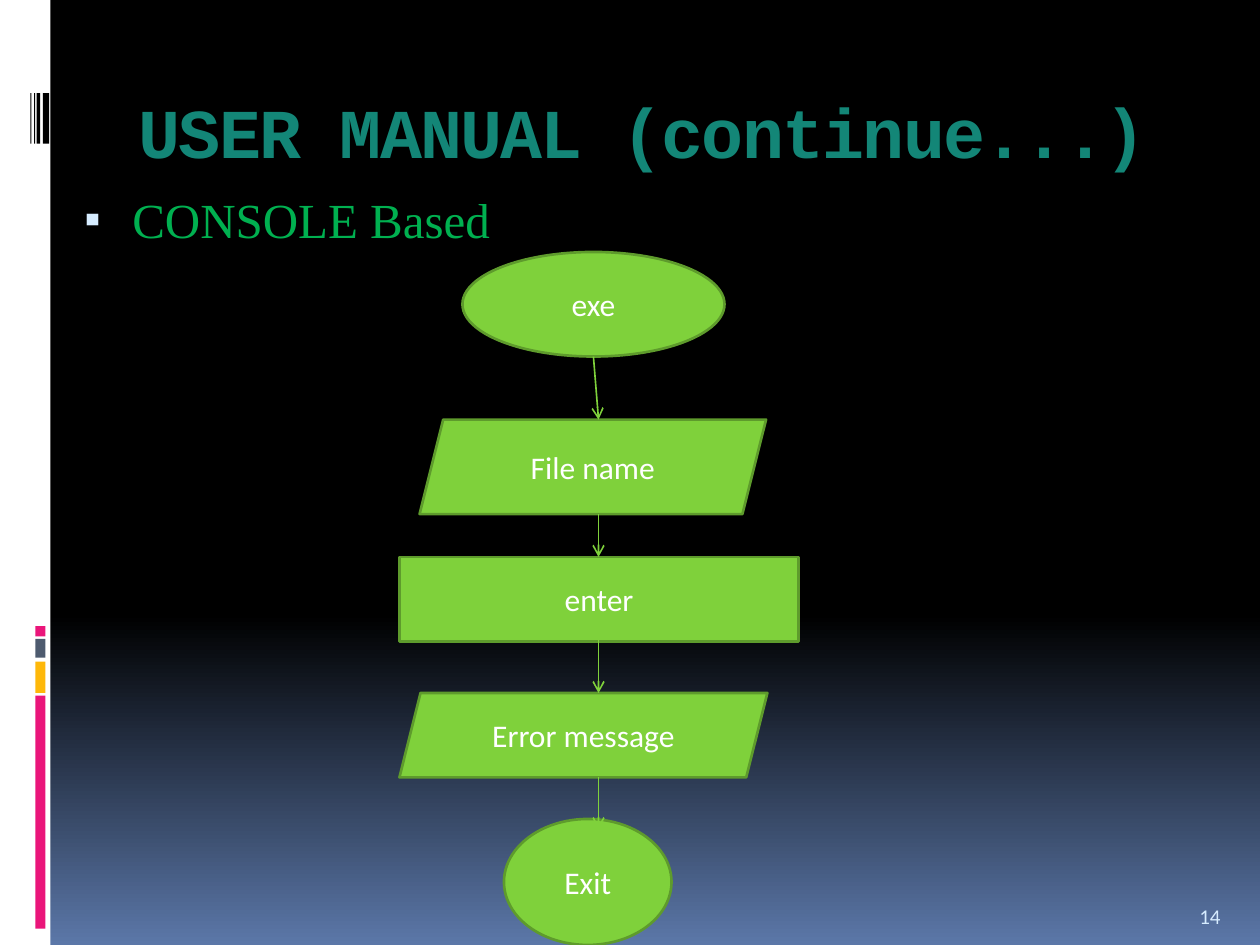
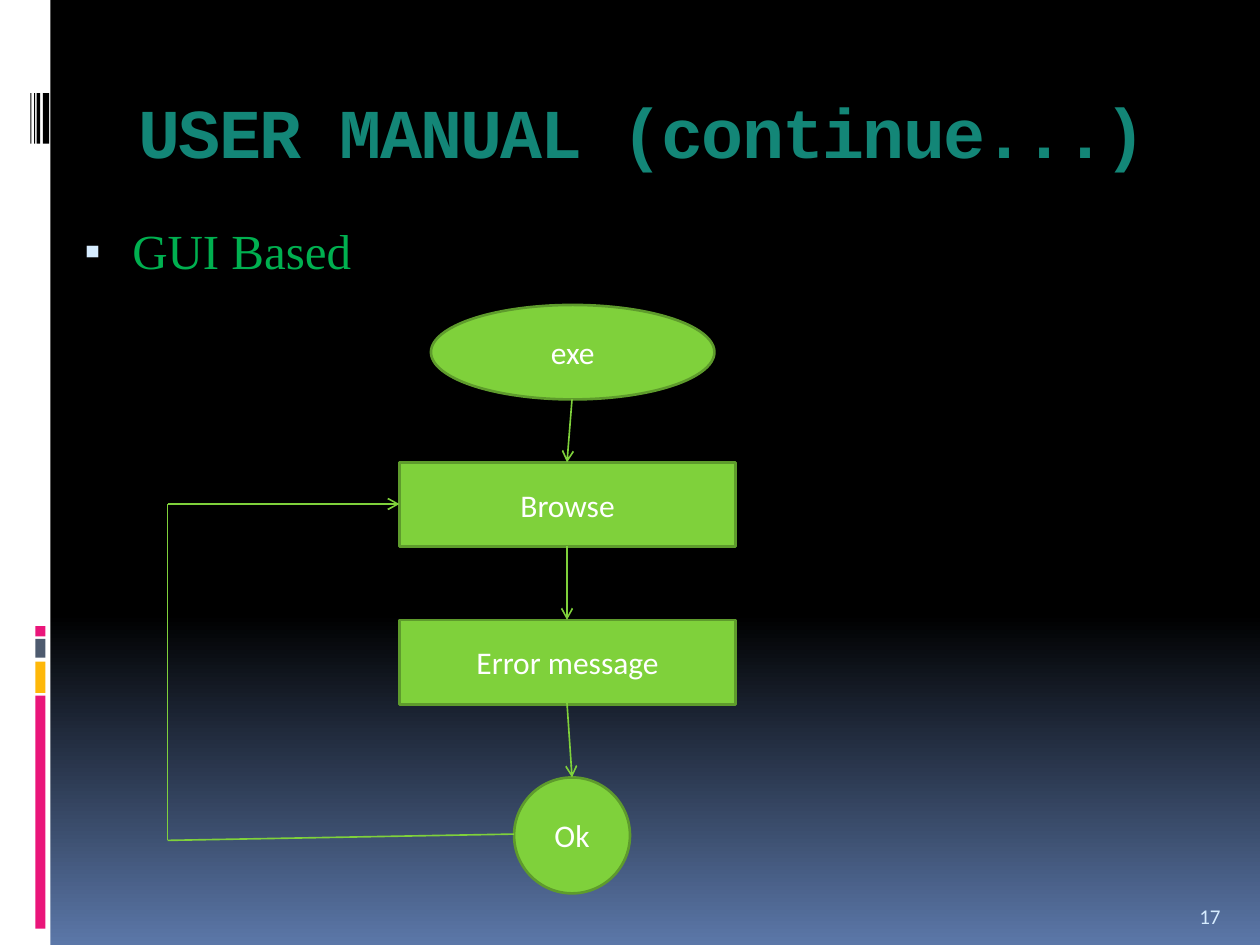
import copy

import pptx
import pptx.dml.color
import pptx.enum.shapes
import pptx.enum.text
import pptx.oxml.ns
import pptx.util
from lxml import etree

Inches = pptx.util.Inches
Pt = pptx.util.Pt
qn = pptx.oxml.ns.qn
Shape = pptx.enum.shapes.MSO_SHAPE
Anchor = pptx.enum.text.MSO_ANCHOR
Align = pptx.enum.text.PP_ALIGN

COLOURS = {
    "black": "000000",
    "dusk": "5B77A8",
    "white": "FFFFFF",
    "pink": "EA157A",
    "amber": "FEB80A",
    "slate": "4E5B6F",
    "teal": "138677",
    "heading": "00B050",
    "pale": "D6ECFF",
    "green": "7FD13B",
    "outline": "5E9B2C",
}


def colour(name):
    """Return the named colour of the deck."""
    return pptx.dml.color.RGBColor.from_string(COLOURS[name])


def style_font(font, name, size, tint, bold=False):
    """Give a font its face, size, colour and weight."""
    font.name = name
    font.size = Pt(size)
    font.bold = bold
    font.color.rgb = colour(tint)


def place(item, left, top, width, height):
    """Put a placeholder at a box given in inches."""
    item.left, item.top = Inches(left), Inches(top)
    item.width, item.height = Inches(width), Inches(height)


def add_filled(page, kind, box, fill):
    """Add a preset shape with a flat fill and no outline or shadow."""
    shape = page.shapes.add_shape(kind, *[Inches(length) for length in box])
    shape.shadow.inherit = False
    shape.fill.solid()
    shape.fill.fore_color.rgb = colour(fill)
    shape.line.fill.background()
    return shape


def set_background(layout):
    """Fade the layout from black to blue in its lower third."""
    fill = layout.background.fill
    fill.gradient()
    fill.gradient_angle = 270
    first, last = fill.gradient_stops
    first.color.rgb = colour("black")
    last.color.rgb = colour("dusk")
    stops = next(layout.element.iter(qn("a:gsLst")))
    middle = copy.deepcopy(stops[0])
    middle.set("pos", "65000")
    stops.insert(1, middle)


def add_side_band(page, layout, height):
    """Build the left band with its bars and keep it on the layout."""
    parts = [((0, 0, 0.4, height), "white")]
    bars = [(5.52, 1.85, "pink"), (5.25, 0.25, "amber"),
            (5.07, 0.15, "slate"), (4.97, 0.08, "pink")]
    parts += [((0.28, top, 0.08, tall), tint) for top, tall, tint in bars]
    stripes = [(0.34, 0.05), (0.29, 0.03), (0.27, 0.01), (0.24, 0.01)]
    parts += [((left, 0.74, wide, 0.4), "black") for left, wide in stripes]
    for position, (box, tint) in enumerate(parts, start=2):
        shape = add_filled(page, Shape.RECTANGLE, box, tint)
        layout.shapes.element.insert(position, shape.element)


def add_title(page, text):
    """Fill and format the title placeholder."""
    title = page.shapes.title
    place(title, 1, 0.56, 8.5, 1)
    frame = title.text_frame
    frame.text = text
    frame.auto_size = pptx.enum.text.MSO_AUTO_SIZE.NONE
    frame.vertical_anchor = Anchor.MIDDLE
    frame.margin_bottom = Inches(0.1)
    para = frame.paragraphs[0]
    para.alignment = Align.LEFT
    style_font(para.font, "Courier New", 40, "teal", bold=True)
    para.runs[0].font._element.set("spc", "-100")


def add_heading(page, text, box):
    """Fill the body placeholder with one bulleted heading."""
    body = page.placeholders[1]
    place(body, *box)
    frame = body.text_frame
    frame.text = text
    frame.auto_size = pptx.enum.text.MSO_AUTO_SIZE.NONE
    frame.vertical_anchor = Anchor.TOP
    frame.margin_top = 0
    para = frame.paragraphs[0]
    para.space_before = Pt(7)
    style_font(para.font, "Times New Roman", 28, "heading")
    properties = para._p.get_or_add_pPr()
    properties.set("marL", str(Inches(0.45)))
    properties.set("indent", str(Inches(-0.38)))
    bullet = etree.Element(qn("a:buClr"))
    etree.SubElement(bullet, qn("a:srgbClr"), val=COLOURS["pale"])
    size = etree.Element(qn("a:buSzPct"), val="95000")
    mark = etree.Element(qn("a:buChar"), char="▪")
    spacing = properties.find(qn("a:spcBef"))
    for element in (mark, size, bullet):
        spacing.addnext(element)


def add_page_number(page, number):
    """Write the page number in the lower right corner."""
    box = page.shapes.add_textbox(Inches(9.42), Inches(7.02), Inches(0.5), Inches(0.4))
    frame = box.text_frame
    frame.word_wrap = True
    frame.vertical_anchor = Anchor.BOTTOM
    frame.text = str(number)
    style_font(frame.paragraphs[0].font, "Calibri", 12, "pale")


def add_step(page, kind, text, box):
    """Add one labelled step of a flow chart."""
    step = add_filled(page, kind, box, "green")
    step.line.color.rgb = colour("outline")
    step.line.width = Pt(1.5)
    frame = step.text_frame
    frame.word_wrap = True
    frame.vertical_anchor = Anchor.MIDDLE
    frame.text = text
    para = frame.paragraphs[0]
    para.alignment = Align.CENTER
    style_font(para.font, "Calibri", 18, "white")


def add_link(page, start, end, arrow=True):
    """Join two points with a thin line, with an arrowhead if wanted."""
    ends = [Inches(length) for length in (*start, *end)]
    link = page.shapes.add_connector(pptx.enum.shapes.MSO_CONNECTOR.STRAIGHT, *ends)
    link.line.color.rgb = colour("green")
    link.line.width = Pt(0.94)
    properties = link.element.spPr
    if arrow:
        etree.SubElement(properties.find(qn("a:ln")), qn("a:tailEnd"), type="arrow")
    etree.SubElement(properties, qn("a:effectLst"))


def add_flow(page, origin, steps, links):
    """Draw steps and arrows measured from the chart's top left corner."""
    left, top = origin
    for kind, text, (x, y, width, height) in steps:
        add_step(page, kind, text, (left + x, top + y, width, height))
    for (x1, y1), (x2, y2) in links:
        add_link(page, (left + x1, top + y1), (left + x2, top + y2))


def add_return_loop(page, points):
    """Lead a line through the points, with an arrowhead on the last part."""
    for index, (start, end) in enumerate(zip(points, points[1:])):
        add_link(page, start, end, arrow=index == len(points) - 2)


def add_manual_page(deck, layout, heading, heading_box, number):
    """Add a page with the shared title, its heading and its number."""
    page = deck.slides.add_slide(layout)
    add_title(page, "USER MANUAL (continue...)")
    add_heading(page, heading, heading_box)
    add_page_number(page, number)
    return page


def add_console_flow(page, origin):
    """Draw the console flow from start to exit."""
    steps = [
        (Shape.OVAL, "exe", (0.5, 0, 2.08, 0.83)),
        (Shape.PARALLELOGRAM, "File name", (0.16, 1.33, 2.75, 0.75)),
        (Shape.RECTANGLE, "enter", (0, 2.42, 3.17, 0.67)),
        (Shape.PARALLELOGRAM, "Error message", (0, 3.5, 2.92, 0.67)),
        (Shape.FLOWCHART_CONNECTOR, "Exit", (0.83, 4.5, 1.33, 1)),
    ]
    axis = 1.58
    links = [((1.54, 0.83), (axis, 1.33))]
    links += [((axis, start), (axis, end))
              for start, end in [(2.08, 2.42), (3.08, 3.5), (4.17, 4.58)]]
    add_flow(page, origin, steps, links)


def add_window_flow(page, origin):
    """Draw the window flow and its way back to browsing."""
    steps = [
        (Shape.OVAL, "exe", (0.25, 0, 2.25, 0.75)),
        (Shape.RECTANGLE, "Browse", (0, 1.25, 2.67, 0.67)),
        (Shape.RECTANGLE, "Error message", (0, 2.5, 2.67, 0.67)),
        (Shape.FLOWCHART_CONNECTOR, "Ok", (0.91, 3.75, 0.92, 0.92)),
    ]
    axis, round_axis = 1.33, 1.37
    links = [((round_axis, 0.75), (axis, 1.25)),
             ((axis, 1.91), (axis, 2.5)),
             ((axis, 3.16), (round_axis, 3.75))]
    add_flow(page, origin, steps, links)
    left, top = origin
    corners = [(0.91, 4.2), (-1.84, 4.25), (-1.84, 1.58), (0, 1.58)]
    add_return_loop(page, [(left + x, top + y) for x, y in corners])


def main():
    """Build and save the deck."""
    deck = pptx.Presentation()
    deck.slide_width, deck.slide_height = Inches(10), Inches(7.5)
    layout = deck.slide_layouts[1]
    set_background(layout)

    console = add_manual_page(deck, layout, "CONSOLE Based", (0.5, 1.5, 9, 6), 14)
    add_side_band(console, layout, 7.5)
    add_console_flow(console, (3.17, 2))

    window = add_manual_page(deck, layout, "GUI Based", (0.5, 1.75, 9, 5.58), 17)
    add_window_flow(window, (3.17, 2.42))

    deck.save("out.pptx")


main()
